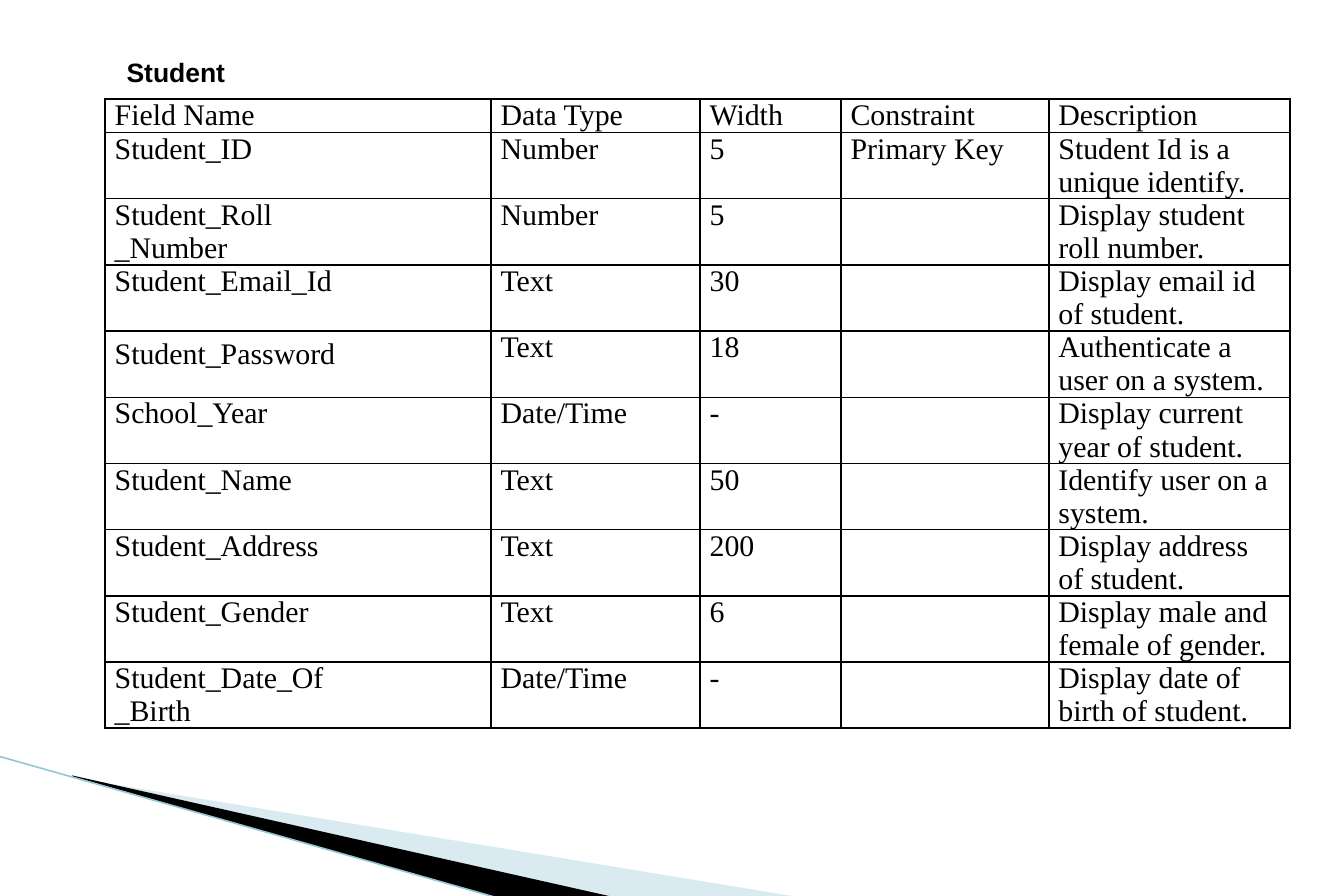
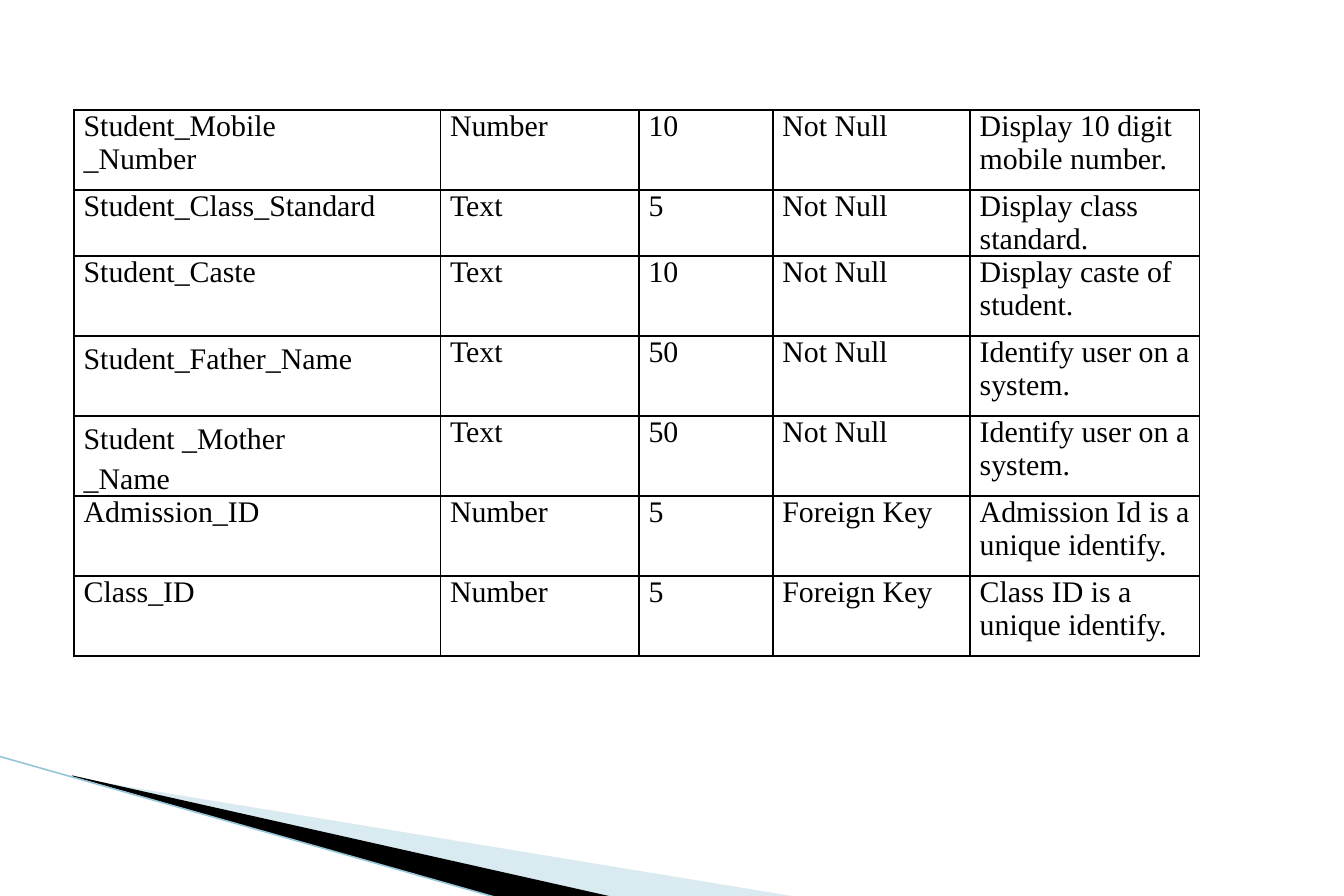
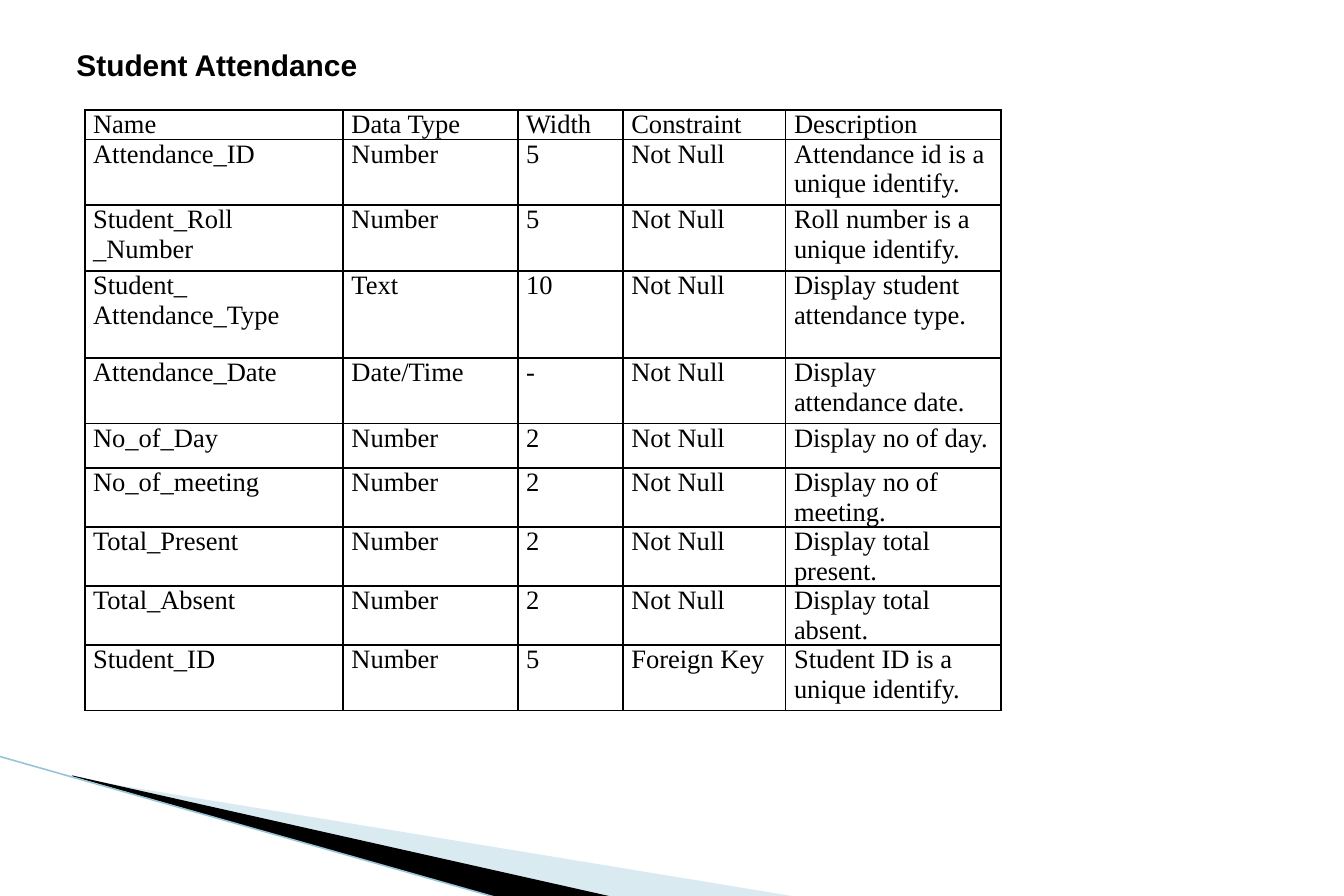
from lxml import etree
from pptx import Presentation
from pptx.dml.color import RGBColor
from pptx.enum.shapes import MSO_CONNECTOR
from pptx.enum.text import MSO_ANCHOR, MSO_AUTO_SIZE, PP_ALIGN
from pptx.oxml.ns import qn
from pptx.util import Inches, Pt

STRAIGHT = MSO_CONNECTOR.STRAIGHT
MIDDLE = MSO_ANCHOR.MIDDLE
NO_AUTOFIT = MSO_AUTO_SIZE.NONE
LEFT = PP_ALIGN.LEFT

BLACK = RGBColor(0x00, 0x00, 0x00)
PALE_BLUE = RGBColor(0xA0, 0xCB, 0xDC)
EDGE_BLUE = RGBColor(0x97, 0xC5, 0xD8)
TITLE_FONT = "Arial"
TABLE_FONT = "Times New Roman"

TITLE_ONLY, BLANK = 5, 6
BORDER_SIDES = ("a:lnL", "a:lnR", "a:lnT", "a:lnB")
LOOSE_SPACING = 1.2
LOOSE_FIELDS = ("Student_Password", "Student_Father_Name", "Student _Mother\n_Name")

STUDENT_COLUMNS = (3.23, 1.75, 1.18, 1.74, 2.02)
ATTENDANCE_COLUMNS = (2.16, 1.46, 0.88, 1.36, 1.8)

STUDENT_ROWS = (
    ("Field Name", "Data Type", "Width", "Constraint", "Description"),
    ("Student_ID", "Number", "5", "Primary Key", "Student Id is a unique identify."),
    ("Student_Roll\n_Number", "Number", "5", "", "Display student roll number."),
    ("Student_Email_Id", "Text", "30", "", "Display email id of student."),
    ("Student_Password", "Text", "18", "", "Authenticate a user on a system."),
    ("School_Year", "Date/Time", "-", "", "Display current year of student."),
    ("Student_Name", "Text", "50", "", "Identify user on a system."),
    ("Student_Address", "Text", "200", "", "Display address of student."),
    ("Student_Gender", "Text", "6", "", "Display male and female of gender."),
    ("Student_Date_Of\n_Birth", "Date/Time", "-", "", "Display date of birth of student."),
)
STUDENT_MORE_ROWS = (
    ("Student_Mobile\n_Number", "Number", "10", "Not Null", "Display 10 digit mobile number."),
    ("Student_Class_Standard", "Text", "5", "Not Null", "Display class standard."),
    ("Student_Caste", "Text", "10", "Not Null", "Display caste of student."),
    ("Student_Father_Name", "Text", "50", "Not Null", "Identify user on a system."),
    ("Student _Mother\n_Name", "Text", "50", "Not Null", "Identify user on a system."),
    ("Admission_ID", "Number", "5", "Foreign Key", "Admission Id is a unique identify."),
    ("Class_ID", "Number", "5", "Foreign Key", "Class ID is a unique identify."),
)
ATTENDANCE_ROWS = (
    ("Name", "Data Type", "Width", "Constraint", "Description"),
    ("Attendance_ID", "Number", "5", "Not Null", "Attendance id is a unique identify."),
    ("Student_Roll\n_Number", "Number", "5", "Not Null", "Roll number is a unique identify."),
    ("Student_\nAttendance_Type", "Text", "10", "Not Null", "Display student attendance type."),
    ("Attendance_Date", "Date/Time", "-", "Not Null", "Display attendance date."),
    ("No_of_Day", "Number", "2", "Not Null", "Display no of day."),
    ("No_of_meeting", "Number", "2", "Not Null", "Display no of meeting."),
    ("Total_Present", "Number", "2", "Not Null", "Display total present."),
    ("Total_Absent", "Number", "2", "Not Null", "Display total absent."),
    ("Student_ID", "Number", "5", "Foreign Key", "Student ID is a unique identify."),
)


def add_span(para, text, font_name, size, bold=False):
    """Add one black run to a paragraph."""
    span = para.add_run()
    span.text = text
    span.font.name = font_name
    span.font.size = Pt(size)
    span.font.bold = bold
    span.font.color.rgb = BLACK


def add_wedge(page, points, color, opacity=100):
    """Draw a filled polygon without an outline."""
    corners = [(Inches(x), Inches(y)) for x, y in points]
    builder = page.shapes.build_freeform(*corners[0])
    builder.add_line_segments(corners[1:], close=True)
    wedge = builder.convert_to_shape()
    wedge.shadow.inherit = False
    wedge.fill.solid()
    wedge.fill.fore_color.rgb = color
    wedge.line.fill.background()
    if opacity < 100:
        tint = wedge.element.spPr.find(qn("a:solidFill"))[0]
        etree.SubElement(tint, qn("a:alpha")).set("val", str(opacity * 1000))
    return wedge


def add_edge(page, start, end, color, width):
    """Draw a straight line without a shadow."""
    edge = page.shapes.add_connector(
        STRAIGHT, *(Inches(value) for value in start + end))
    edge.line.color.rgb = color
    edge.line.width = Pt(width)
    etree.SubElement(edge.element.spPr, qn("a:effectLst"))
    return edge


def move_corner_to_master(deck, page):
    """Draw the corner wedges on a page and hand them to the slide master."""
    corner = (
        add_wedge(page, ((0.61, 6.51), (6.69, 7.51), (5.13, 7.51), (0.62, 6.5)), PALE_BLUE, 40),
        add_wedge(page, ((0.6, 6.49), (5.14, 7.51), (4.18, 7.52), (0.61, 6.5)), BLACK),
        add_edge(page, (-0.01, 6.33), (4.18, 7.52), EDGE_BLUE, 0.95),
    )
    tree = deck.slide_master.shapes.element
    for position, shape in enumerate(corner, start=2):
        tree.insert(position, shape.element)


def set_title(page, text, left, top, width, height, size, wrap=True):
    """Place and format the title placeholder."""
    title = page.shapes.title
    title.left, title.top = Inches(left), Inches(top)
    title.width, title.height = Inches(width), Inches(height)
    frame = title.text_frame
    frame.auto_size = NO_AUTOFIT
    frame.word_wrap = wrap
    frame.vertical_anchor = MIDDLE
    para = frame.paragraphs[0]
    para.alignment = LEFT
    add_span(para, text, TITLE_FONT, size, bold=True)


def add_borders(cell):
    """Give a cell thin black borders on all sides."""
    properties = cell._tc.get_or_add_tcPr()
    for side in BORDER_SIDES:
        border = etree.SubElement(properties, qn(side), w=str(Pt(1)))
        fill = etree.SubElement(border, qn("a:solidFill"))
        etree.SubElement(fill, qn("a:srgbClr"), val=str(BLACK))


def fill_cell(cell, text, size, inset):
    """Write a cell's text, one paragraph to a line."""
    add_borders(cell)
    cell.fill.background()
    cell.margin_left = cell.margin_right = Inches(inset)
    cell.margin_top = cell.margin_bottom = 0
    frame = cell.text_frame
    for index, line in enumerate(text.split("\n")):
        para = frame.add_paragraph() if index else frame.paragraphs[0]
        if text in LOOSE_FIELDS:
            para.line_spacing = LOOSE_SPACING
        if line:
            add_span(para, line, TABLE_FONT, size)
        else:
            para.font.size = Pt(size)


def add_field_table(page, rows, left, top, width, columns, heights, size, inset):
    """Add a ruled table whose columns share its width by weight."""
    table = page.shapes.add_table(
        len(rows), len(columns), Inches(left), Inches(top),
        Inches(width), Inches(sum(heights))).table
    table.first_row = table.horz_banding = False
    for column, weight in zip(table.columns, columns):
        column.width = Inches(width * weight / sum(columns))
    for row, height, texts in zip(table.rows, heights, rows):
        row.height = Inches(height)
        for cell, text in zip(row.cells, texts):
            fill_cell(cell, text, size, inset)


def main():
    """Build the three table slides."""
    deck = Presentation()
    deck.slide_width, deck.slide_height = Inches(11.25), Inches(7.5)
    student, student_more, attendance = (
        deck.slides.add_slide(deck.slide_layouts[layout])
        for layout in (TITLE_ONLY, BLANK, TITLE_ONLY))
    move_corner_to_master(deck, student)

    set_title(student, "Student", 0.96, 0.42, 1.04, 0.37, 16, wrap=False)
    add_field_table(student, STUDENT_ROWS, 0.88, 0.83, 9.92, STUDENT_COLUMNS,
                    (0.28,) + (0.55,) * 9, 18, 0.08)

    add_field_table(student_more, STUDENT_MORE_ROWS, 0.62, 0.92, 9.42, STUDENT_COLUMNS,
                    (0.67, 0.55) + (0.67,) * 5, 18, 0.08)

    set_title(attendance, "Student Attendance", 0.54, 0.08, 10.12, 0.92, 18)
    add_field_table(attendance, ATTENDANCE_ROWS, 0.71, 0.92, 7.67, ATTENDANCE_COLUMNS,
                    (0.24, 0.55, 0.55, 0.73, 0.55, 0.37, 0.49, 0.49, 0.49, 0.55), 16, 0.07)

    deck.save("out.pptx")


if __name__ == "__main__":
    main()
